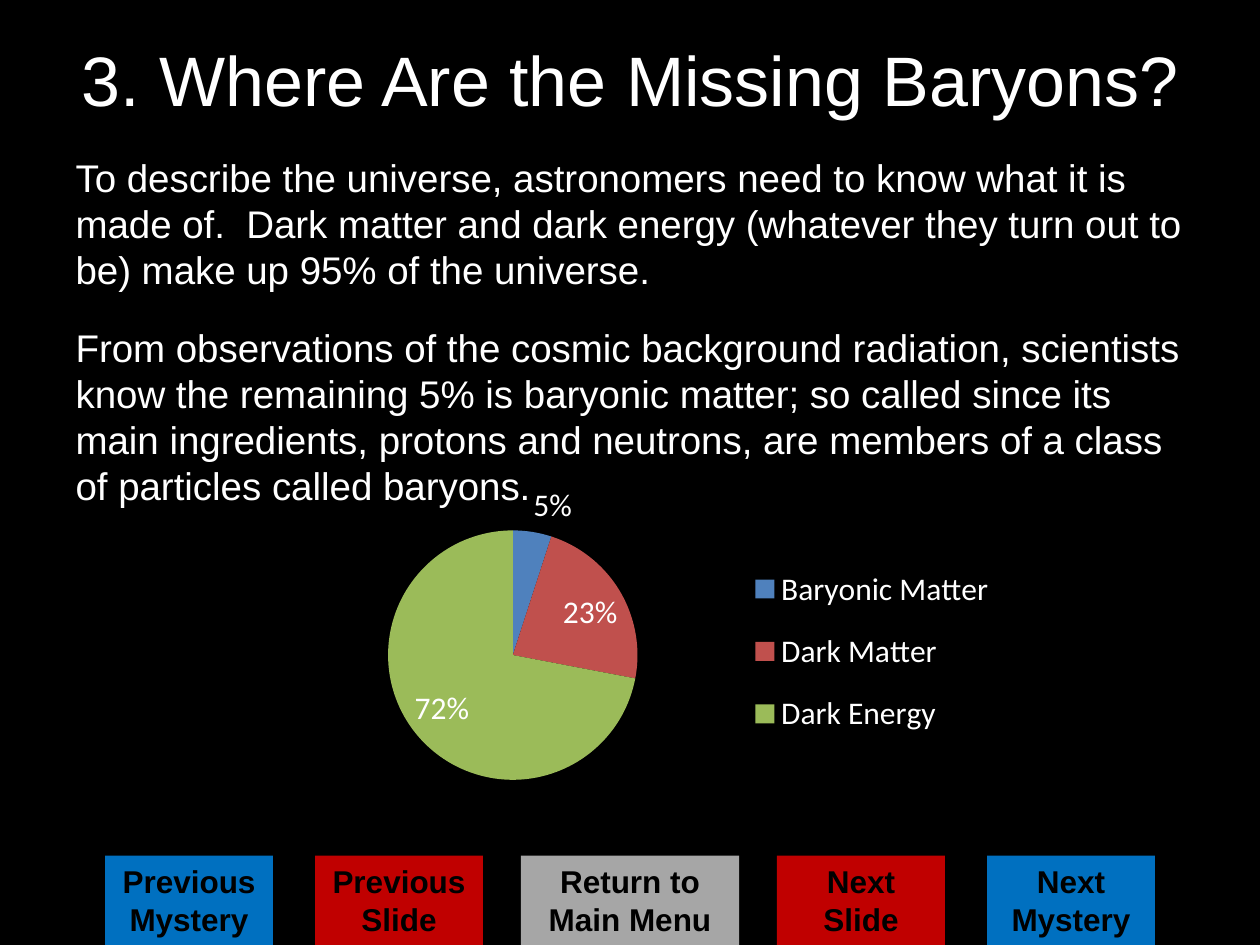
from dataclasses import dataclass

from lxml import etree
from pptx import Presentation
from pptx.chart.data import CategoryChartData
from pptx.dml.color import RGBColor
from pptx.enum.chart import XL_CHART_TYPE, XL_LABEL_POSITION, XL_LEGEND_POSITION
from pptx.enum.shapes import MSO_SHAPE
from pptx.enum.text import MSO_ANCHOR, MSO_AUTO_SIZE, PP_ALIGN
from pptx.oxml.ns import qn
from pptx.util import Inches, Pt

PIE = XL_CHART_TYPE.PIE
BEST = XL_LABEL_POSITION.BEST_FIT
RIGHT = XL_LEGEND_POSITION.RIGHT
RECT = MSO_SHAPE.RECTANGLE
TOP, MIDDLE = MSO_ANCHOR.TOP, MSO_ANCHOR.MIDDLE
LEFT, CENTER = PP_ALIGN.LEFT, PP_ALIGN.CENTER
FIXED = MSO_AUTO_SIZE.NONE


@dataclass(frozen=True)
class Theme:
    font: str = "Arial"
    chart_font: str = "Calibri"
    back: str = "000000"
    text: str = "FFFFFF"
    ink: str = "000000"
    blue: str = "0070C0"
    red: str = "C00000"
    gray: str = "A6A6A6"
    slices: tuple = ("4F81BD", "C0504D", "9BBB59")
    title: int = 40
    body: int = 22
    small: int = 18


THEME = Theme()
WIDTH, HEIGHT = 10, 7.5
COLS = 60  # columns of the button grid

TITLE = "3. Where Are the Missing Baryons?"
BODY = (
    "To describe the universe, astronomers need to know what it is made of.  "
    "Dark matter and dark energy (whatever they turn out to be) make up 95% "
    "of the universe.",
    "From observations of the cosmic background radiation, scientists know the "
    "remaining 5% is baryonic matter; so called since its main ingredients, "
    "protons and neutrons, are members of a class of particles called baryons.",
)
SHARES = {"Baryonic Matter": 5, "Dark Matter": 23, "Dark Energy": 72}
# Label, fill, centre column, width in columns
BUTTONS = (
    ("Previous Mystery", THEME.blue, 9, 8),
    ("Previous Slide", THEME.red, 19, 8),
    ("Return to Main Menu", THEME.gray, 30, 10.4),
    ("Next Slide", THEME.red, 41, 8),
    ("Next Mystery", THEME.blue, 51, 8),
)


def paint(fill, color):
    fill.solid()
    fill.fore_color.rgb = RGBColor.from_string(color)


def style(font, name, size, color, bold=False):
    font.name, font.size, font.bold = name, Pt(size), bold
    font.color.rgb = RGBColor.from_string(color)


def place(shape, box):
    shape.left, shape.top, shape.width, shape.height = map(Inches, box)


def write(shape, lines, size, color, align, anchor, bold=False):
    frame = shape.text_frame
    frame.text = "\n".join(lines)
    frame.word_wrap = True
    frame.auto_size = FIXED
    frame.vertical_anchor = anchor
    for para in frame.paragraphs:
        para.alignment = align
        for run in para.runs:
            style(run.font, THEME.font, size, color, bold)


def add_title(slide, box):
    title = slide.shapes.title
    place(title, box)
    write(title, [TITLE], THEME.title, THEME.text, CENTER, MIDDLE)


def add_body(slide, box):
    body = slide.placeholders[1]
    place(body, box)
    write(body, BODY, THEME.body, THEME.text, LEFT, TOP)
    for para in body.text_frame.paragraphs:
        para.space_before, para.space_after = Pt(12), Pt(6)
        # Plain paragraphs: no bullet, no indent
        props = para._p.get_or_add_pPr()
        props.set("marL", "0")
        props.set("indent", "0")
        etree.SubElement(props, qn("a:buNone"))


def set_layout(part, box, inner=False):
    """Fix a chart part at shares of the chart's size."""
    layout = part.find(qn("c:layout"))
    if layout is None:
        layout = etree.Element(qn("c:layout"))
        pos = part.find(qn("c:legendPos"))
        if pos is None:
            part.insert(0, layout)
        else:
            pos.addnext(layout)
    manual = etree.SubElement(layout, qn("c:manualLayout"))
    pairs = [("layoutTarget", "inner")] if inner else []
    pairs += [("xMode", "edge"), ("yMode", "edge"), *zip("xywh", box)]
    for tag, val in pairs:
        etree.SubElement(manual, qn("c:" + tag)).set("val", str(val))


def add_pie(slide, box):
    data = CategoryChartData()
    data.categories = list(SHARES)
    data.add_series("Series 1", list(SHARES.values()))
    chart = slide.shapes.add_chart(PIE, *map(Inches, box), data).chart
    chart.has_title = False
    style(chart.font, THEME.chart_font, THEME.small, THEME.text)

    # Slices and their labels
    plot = chart.plots[0]
    plot.vary_by_categories = True
    for i, color in enumerate(THEME.slices):
        paint(plot.series[0].points[i].format.fill, color)
    plot.has_data_labels = True
    labels = plot.data_labels
    labels.show_value = True
    labels.number_format = '0"%"'
    labels.number_format_is_linked = False
    labels.position = BEST
    style(labels.font, THEME.chart_font, THEME.small, THEME.text)
    area = chart._chartSpace.chart.plotArea
    set_layout(area, (0.05, 0.18, 0.59, 0.66), inner=True)

    # Legend
    chart.has_legend = True
    legend = chart.legend
    legend.position = RIGHT
    legend.include_in_layout = False
    style(legend.font, THEME.chart_font, THEME.small, THEME.text)
    set_layout(legend._element, (0.65, 0.22, 0.34, 0.56))


def add_buttons(slide, box):
    left, top, width, height = box
    col = width / COLS
    for label, color, mid, span in BUTTONS:
        spot = (left + (mid - span / 2) * col, top, span * col, height)
        button = slide.shapes.add_shape(RECT, *map(Inches, spot))
        button.shadow.inherit = False
        paint(button.fill, color)
        button.line.fill.background()
        write(button, [label], THEME.small, THEME.ink, CENTER, TOP, bold=True)


def main():
    deck = Presentation()
    deck.slide_width, deck.slide_height = Inches(WIDTH), Inches(HEIGHT)
    slide = deck.slides.add_slide(deck.slide_layouts[1])
    paint(slide.background.fill, THEME.back)
    add_body(slide, (0.5, 1.17, 9.08, 3.2))
    add_buttons(slide, (0, 6.79, WIDTH, HEIGHT - 6.79))
    add_pie(slide, (0.2 * WIDTH, 3.67, 0.6 * WIDTH, 0.4 * HEIGHT))
    add_title(slide, (0.46, 0, 9.08, 1.25))
    deck.save("out.pptx")


if __name__ == "__main__":
    main()
